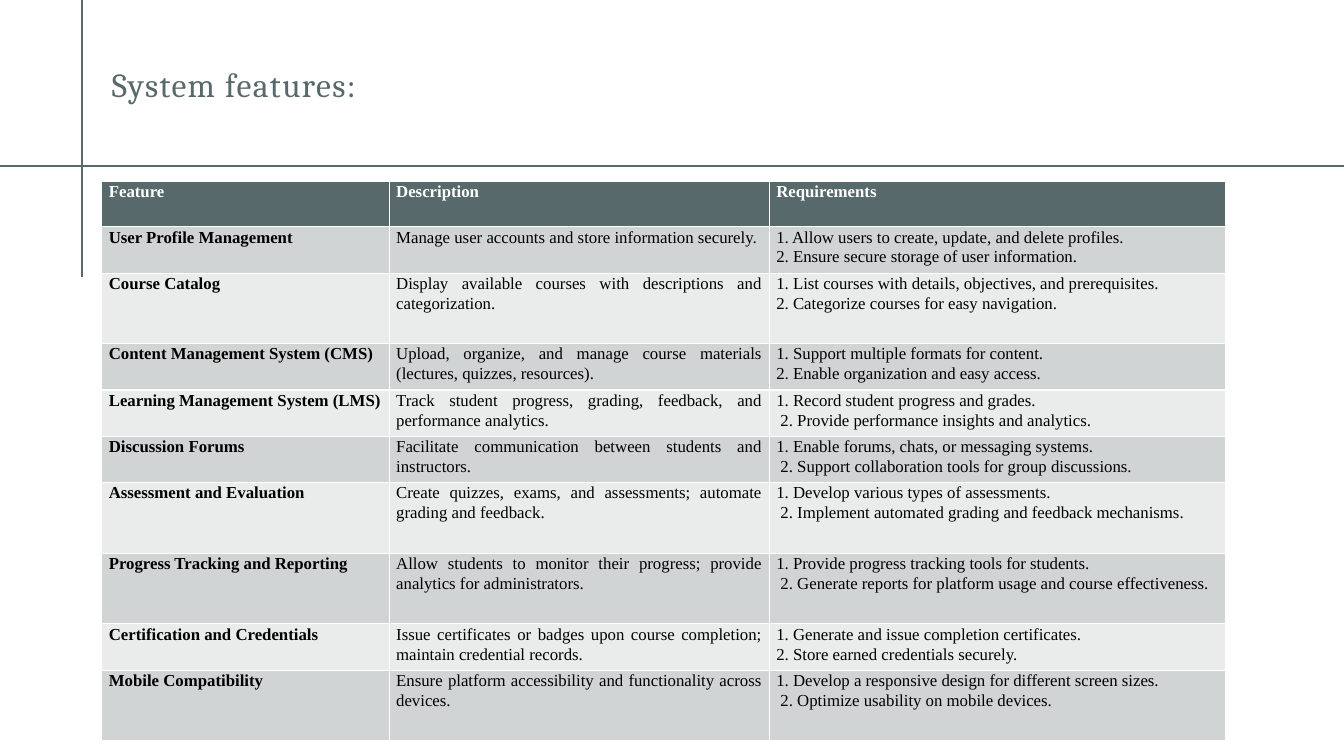
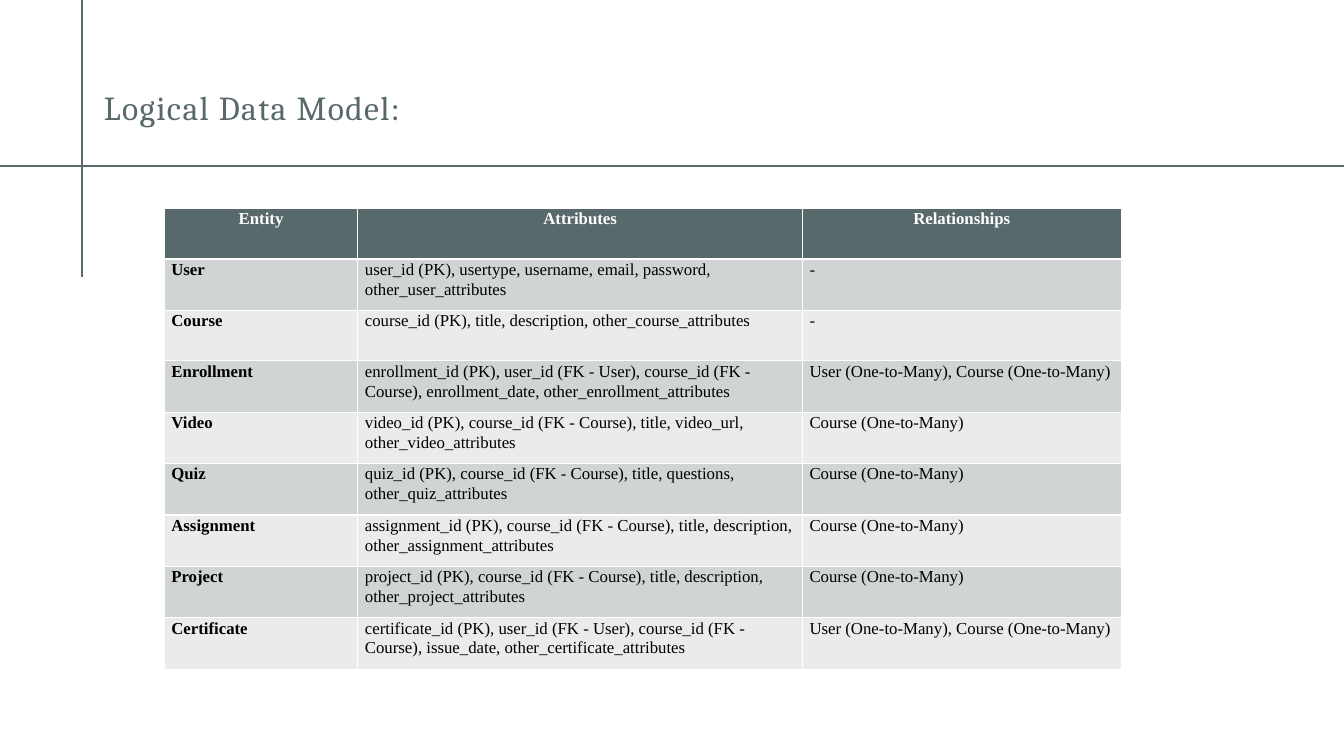
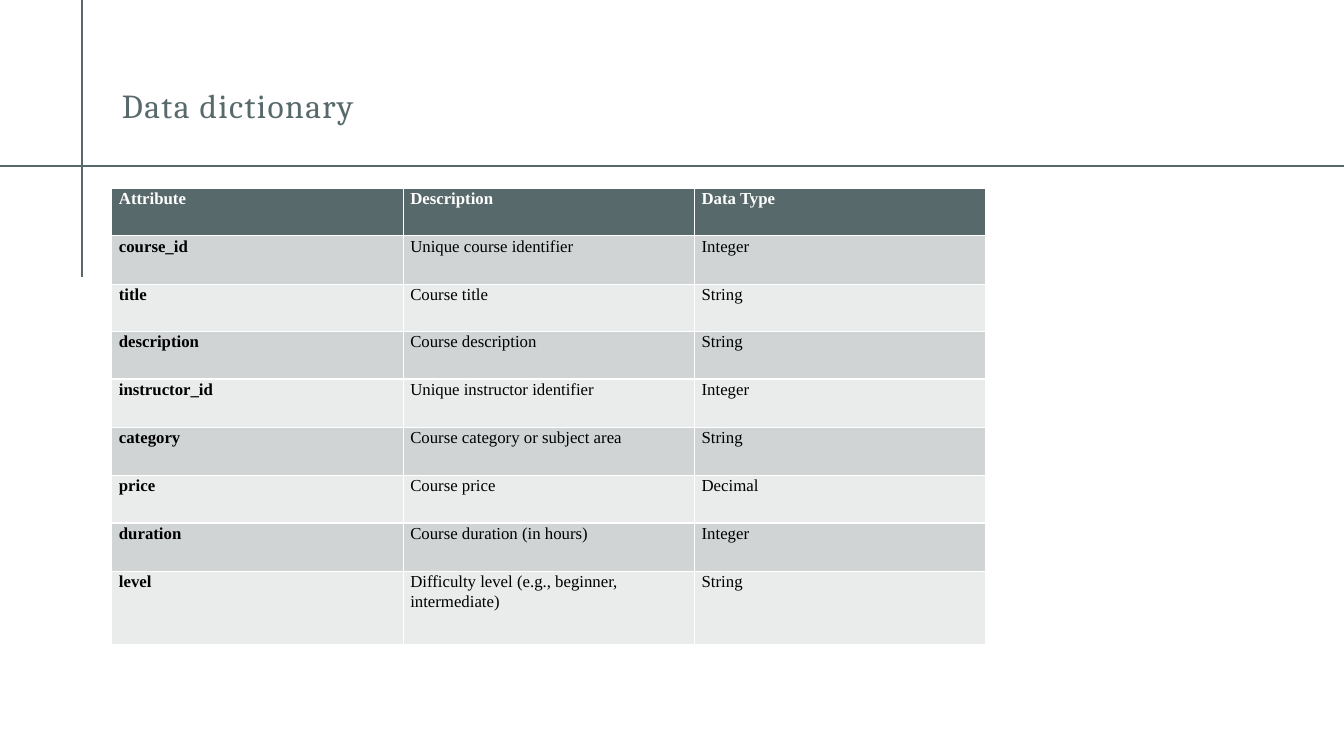
from pptx import Presentation
from pptx.dml.color import RGBColor
from pptx.enum.shapes import MSO_CONNECTOR
from pptx.enum.text import MSO_ANCHOR, PP_ALIGN
from pptx.oxml.ns import qn
from pptx.util import Inches, Pt
from lxml import etree

STRAIGHT = MSO_CONNECTOR.STRAIGHT
MIDDLE, TOP = MSO_ANCHOR.MIDDLE, MSO_ANCHOR.TOP
LEFT, CENTER, JUSTIFY = PP_ALIGN.LEFT, PP_ALIGN.CENTER, PP_ALIGN.JUSTIFY

SLATE = RGBColor(0x58, 0x69, 0x6B)
WHITE = RGBColor(0xFF, 0xFF, 0xFF)
BLACK = RGBColor(0x00, 0x00, 0x00)
DARK_BAND = RGBColor(0xD1, 0xD4, 0xD4)
LIGHT_BAND = RGBColor(0xEA, 0xEB, 0xEB)

TITLE_FONT = "Cambria"
TABLE_FONT = "Times New Roman"
SLIDE_WIDTH, SLIDE_HEIGHT = 13.33, 7.5
RULES = [(0, 1.65, SLIDE_WIDTH, 1.65), (0.81, 0, 0.81, 2.75)]

FEATURES = [
    ("Feature", "Description", "Requirements"),
    ("User Profile Management",
     "Manage user accounts and store information securely.",
     "1. Allow users to create, update, and delete profiles.\n"
     "2. Ensure secure storage of user information."),
    ("Course Catalog",
     "Display available courses with descriptions and categorization.",
     "1. List courses with details, objectives, and prerequisites.\n"
     "2. Categorize courses for easy navigation."),
    ("Content Management System (CMS)",
     "Upload, organize, and manage course materials (lectures, quizzes, resources).",
     "1. Support multiple formats for content.\n"
     "2. Enable organization and easy access."),
    ("Learning Management System (LMS)",
     "Track student progress, grading, feedback, and performance analytics.",
     "1. Record student progress and grades.\n"
     " 2. Provide performance insights and analytics."),
    ("Discussion Forums",
     "Facilitate communication between students and instructors.",
     "1. Enable forums, chats, or messaging systems.\n"
     " 2. Support collaboration tools for group discussions."),
    ("Assessment and Evaluation",
     "Create quizzes, exams, and assessments; automate grading and feedback.",
     "1. Develop various types of assessments.\n"
     " 2. Implement automated grading and feedback mechanisms."),
    ("Progress Tracking and Reporting",
     "Allow students to monitor their progress; provide analytics for administrators.",
     "1. Provide progress tracking tools for students.\n"
     " 2. Generate reports for platform usage and course effectiveness."),
    ("Certification and Credentials",
     "Issue certificates or badges upon course completion; maintain credential records.",
     "1. Generate and issue completion certificates.\n"
     "2. Store earned credentials securely."),
    ("Mobile Compatibility",
     "Ensure platform accessibility and functionality across devices.",
     "1. Develop a responsive design for different screen sizes.\n"
     " 2. Optimize usability on mobile devices."),
]

ENTITIES = [
    ("Entity", "Attributes", "Relationships"),
    ("User", "user_id (PK), usertype, username, email, password, other_user_attributes", "-"),
    ("Course", "course_id (PK), title, description, other_course_attributes", "-"),
    ("Enrollment",
     "enrollment_id (PK), user_id (FK - User), course_id (FK - Course), "
     "enrollment_date, other_enrollment_attributes",
     "User (One-to-Many), Course (One-to-Many)"),
    ("Video",
     "video_id (PK), course_id (FK - Course), title, video_url, other_video_attributes",
     "Course (One-to-Many)"),
    ("Quiz",
     "quiz_id (PK), course_id (FK - Course), title, questions, other_quiz_attributes",
     "Course (One-to-Many)"),
    ("Assignment",
     "assignment_id (PK), course_id (FK - Course), title, description, "
     "other_assignment_attributes",
     "Course (One-to-Many)"),
    ("Project",
     "project_id (PK), course_id (FK - Course), title, description, "
     "other_project_attributes",
     "Course (One-to-Many)"),
    ("Certificate",
     "certificate_id (PK), user_id (FK - User), course_id (FK - Course), "
     "issue_date, other_certificate_attributes",
     "User (One-to-Many), Course (One-to-Many)"),
]

DICTIONARY = [
    ("Attribute", "Description", "Data Type"),
    ("course_id", "Unique course identifier", "Integer"),
    ("title", "Course title", "String"),
    ("description", "Course description", "String"),
    ("instructor_id", "Unique instructor identifier", "Integer"),
    ("category", "Course category or subject area", "String"),
    ("price", "Course price", "Decimal"),
    ("duration", "Course duration (in hours)", "Integer"),
    ("level", "Difficulty level (e.g., beginner, intermediate)", "String"),
]


def style_paragraph(paragraph, font_name, size, color, bold, align, spacing):
    """Format one paragraph and its font."""
    paragraph.alignment = align
    paragraph.line_spacing = spacing
    font = paragraph.font
    font.name, font.size, font.bold = font_name, Pt(size), bold
    font.color.rgb = color


def move_rules_to_layout(slide):
    """Draw the crossing rules once and keep them on the slide's layout."""
    layout = slide.slide_layout
    for footer in list(layout.placeholders)[1:]:
        layout.shapes.element.remove(footer.element)
    rules = [slide.shapes.add_connector(STRAIGHT, *map(Inches, ends)) for ends in RULES]
    for rule in rules:
        rule.line.color.rgb = SLATE
        rule.line.width = Pt(1.5)
        etree.SubElement(rule.element.spPr, qn("a:effectLst"))
        layout.shapes.element.append(rule.element)


def set_title(slide, text, left, top):
    """Place and format the slide title."""
    title = slide.shapes.title
    title.left, title.top = Inches(left), Inches(top)
    title.width, title.height = Inches(5.04), Inches(0.51)
    title.text_frame.text = text
    title.text_frame.vertical_anchor = MIDDLE
    style_paragraph(title.text_frame.paragraphs[0], TITLE_FONT, 24, SLATE, False, LEFT, 0.9)
    for properties in title.element.iter(qn("a:defRPr")):
        properties.set("spc", "100")


def fill_cell(cell, text, fill, color, bold, align):
    """Write one table cell."""
    cell.fill.solid()
    cell.fill.fore_color.rgb = fill
    cell.margin_left = cell.margin_right = Inches(0.07)
    cell.margin_top = cell.margin_bottom = 0
    cell.vertical_anchor = TOP
    cell.text = text
    for paragraph in cell.text_frame.paragraphs:
        style_paragraph(paragraph, TABLE_FONT, 12, color, bold, align, 1.07)


def add_banded_table(slide, records, left, top, widths, heights,
                     header_align=LEFT, body_align=LEFT):
    """Add a table with a slate header and alternating grey rows."""
    table = slide.shapes.add_table(
        len(records), len(widths), Inches(left), Inches(top),
        Inches(sum(widths)), Inches(sum(heights))).table
    for column, width in zip(table.columns, widths):
        column.width = Inches(width)
    for index, (row, height, record) in enumerate(zip(table.rows, heights, records)):
        row.height = Inches(height)
        band = DARK_BAND if index % 2 else LIGHT_BAND
        for position, (cell, text) in enumerate(zip(row.cells, record)):
            if index == 0:
                fill_cell(cell, text, SLATE, WHITE, True, header_align)
            else:
                fill_cell(cell, text, band, BLACK, position == 0, body_align)


def main():
    """Build the three slides and save them."""
    deck = Presentation()
    deck.slide_width, deck.slide_height = Inches(SLIDE_WIDTH), Inches(SLIDE_HEIGHT)
    title_only = deck.slide_layouts[5]

    features = deck.slides.add_slide(title_only)
    move_rules_to_layout(features)
    set_title(features, "System features:", 1.01, 0.6)
    add_banded_table(features, FEATURES, 1.01, 1.8, [2.85, 3.77, 4.53],
                     [0.45, 0.46, 0.7, 0.46, 0.46, 0.46, 0.7, 0.7, 0.46, 0.7],
                     body_align=JUSTIFY)

    data_model = deck.slides.add_slide(title_only)
    set_title(data_model, "Logical Data Model:", 0.93, 0.83)
    add_banded_table(data_model, ENTITIES, 1.63, 2.07, [1.92, 4.41, 3.16],
                     [0.5, 0.51, 0.5] + [0.51] * 6, header_align=CENTER)

    dictionary = deck.slides.add_slide(title_only)
    set_title(dictionary, "Data dictionary", 1.11, 0.81)
    add_banded_table(dictionary, DICTIONARY, 1.11, 1.87, [2.89] * 3,
                     [0.47, 0.48, 0.47, 0.47, 0.48, 0.48, 0.47, 0.48, 0.73])

    deck.save("out.pptx")


if __name__ == "__main__":
    main()
